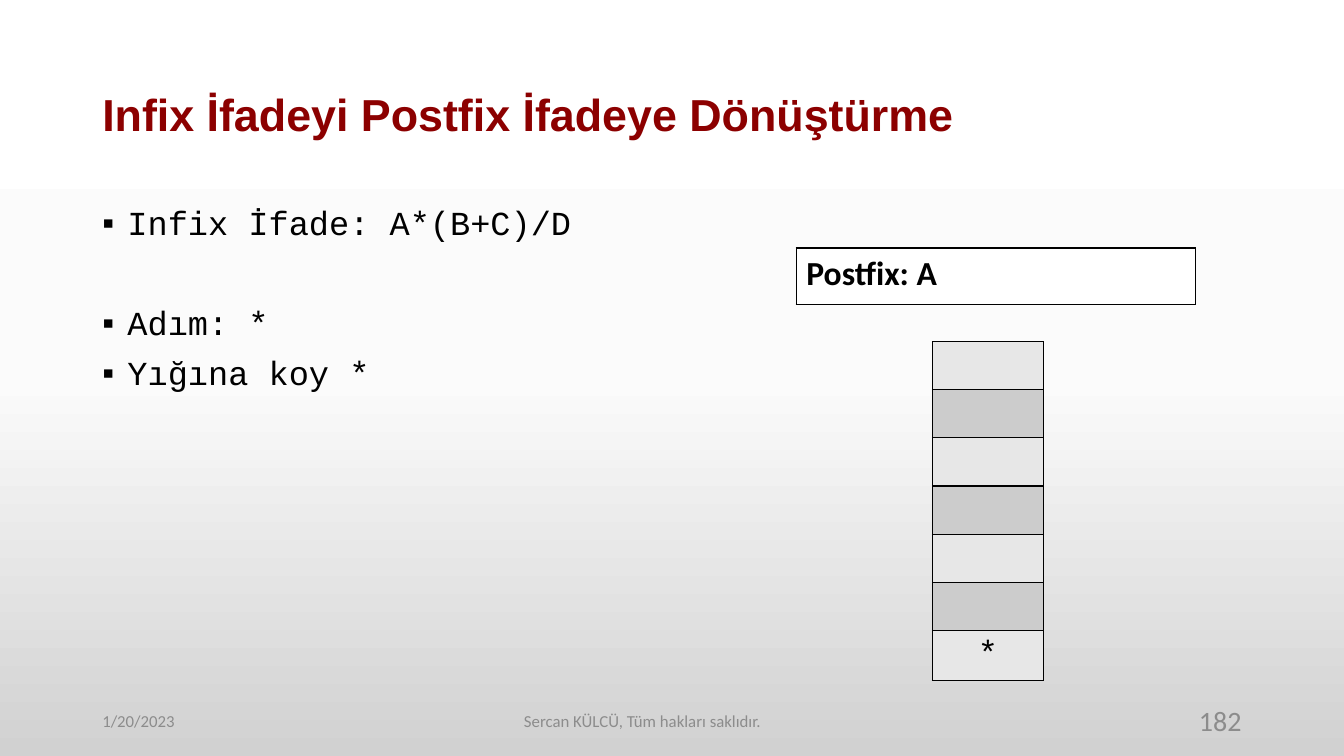
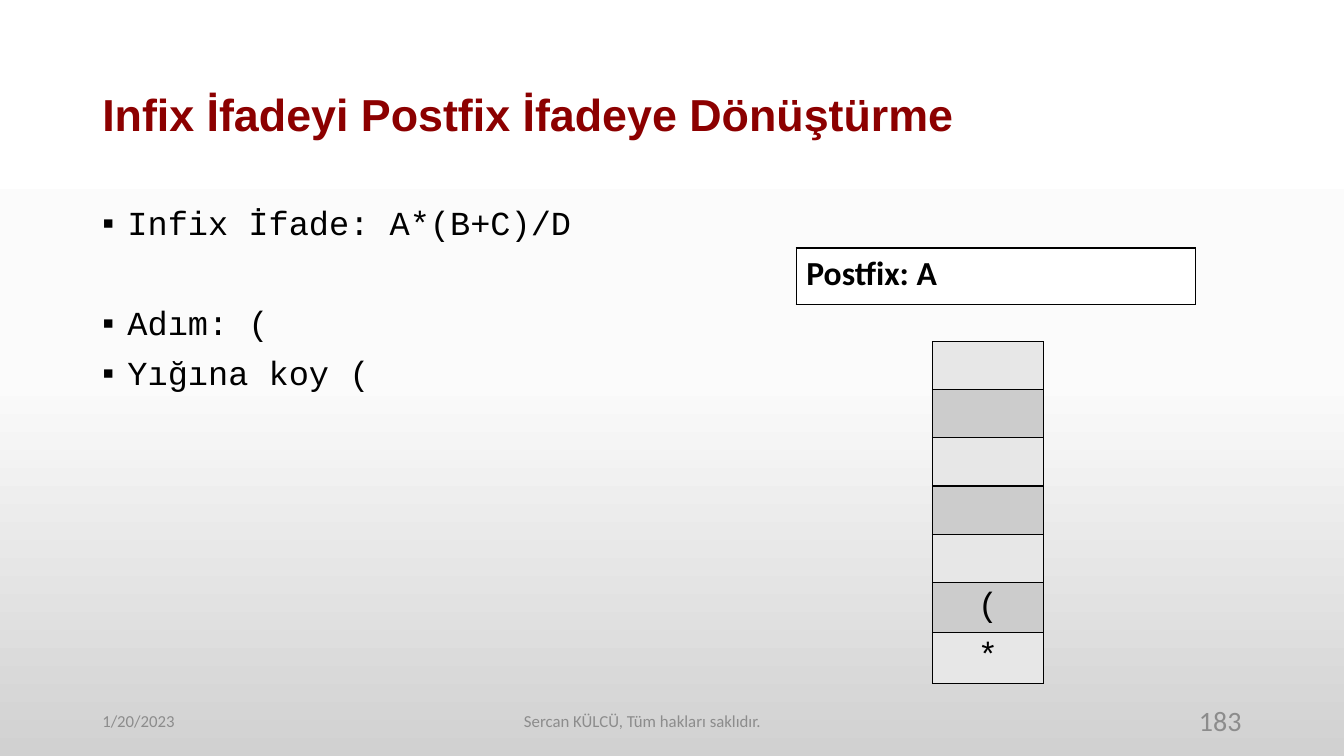
from copy import deepcopy

from pptx import Presentation
from pptx.dml.color import RGBColor as RGB
from pptx.enum.text import MSO_ANCHOR as ANCHOR, PP_ALIGN as ALIGN
from pptx.oxml import parse_xml
from pptx.oxml.ns import nsdecls, qn
from pptx.util import Pt

COLORS = {
    "title": "8C0000", "text": "000000", "footer": "8C8C8C", "border": "000000",
    "white": "FFFFFF", "light": "E7E7E7", "dark": "CCCCCC",
}
BACKGROUND = [(0, "FFFFFF"), (0.5, "FBFBFB"), (1, "D1D1D1")]
MARGIN, CONTENT_W = 66, 828
FOOTER_Y, FOOTER_H = 500.4, 28.8
STACK_ROWS, ROW_H = 7, 34.4

# Page number, current symbol, stack from the bottom up
STEPS = [
    (182, "*", ["*"]),
    (183, "(", ["*", "("]),
]


def style(p, font, size, color, bold=False, align=ALIGN.LEFT):
    p.alignment = align
    p.font.name, p.font.size, p.font.bold = font, Pt(size), bold
    p.font.color.rgb = RGB.from_string(COLORS[color])


def fill_cell(cell, color):
    tc_pr = cell._tc.get_or_add_tcPr()
    for side in ("lnL", "lnR", "lnT", "lnB"):
        tc_pr.append(parse_xml(
            f'<a:{side} {nsdecls("a")} w="12700"><a:solidFill>'
            f'<a:srgbClr val="{COLORS["border"]}"/></a:solidFill></a:{side}>'))
    cell.fill.solid()
    cell.fill.fore_color.rgb = RGB.from_string(COLORS[color])


prs = Presentation()
prs.slide_width, prs.slide_height = Pt(960), Pt(540)

# Shared gradient background
master = prs.slide_master
fill = master.background.fill
fill.gradient()
fill.gradient_angle = 270
gs_list = master.element.find(".//" + qn("a:gsLst"))
gs_list.insert(1, deepcopy(gs_list[0]))
for stop, (position, color) in zip(fill.gradient_stops, BACKGROUND):
    stop.position = position
    stop.color.rgb = RGB.from_string(color)

for number, symbol, stack in STEPS:
    s = prs.slides.add_slide(prs.slide_layouts[6])

    # Title and footer
    lines = [
        (MARGIN, 28.8, CONTENT_W, 104.4, "Infix İfadeyi Postfix İfadeye Dönüştürme",
         ("Arial", 32, "title", True)),
        (MARGIN, FOOTER_Y, 216, FOOTER_H, "1/20/2023", ("Calibri", 12, "footer")),
        (186, FOOTER_Y, 546, FOOTER_H, "Sercan KÜLCÜ, Tüm hakları saklıdır.",
         ("Calibri", 12, "footer", False, ALIGN.CENTER)),
        (678, FOOTER_Y, 216, FOOTER_H, str(number),
         ("Calibri", 20, "footer", False, ALIGN.RIGHT)),
    ]
    for x, y, w, h, text, look in lines:
        tf = s.shapes.add_textbox(Pt(x), Pt(y), Pt(w), Pt(h)).text_frame
        tf.word_wrap = True
        tf.vertical_anchor = ANCHOR.MIDDLE
        p = tf.paragraphs[0]
        p.text = text
        style(p, *look)

    # Bullets, with a wide gap after the expression
    tf = s.shapes.add_textbox(Pt(MARGIN), Pt(144), Pt(CONTENT_W), Pt(350)).text_frame
    tf.word_wrap = True
    bullets = [("Infix İfade: A*(B+C)/D", 0), (f"Adım: {symbol}", 45.5),
               (f"Yığına koy {symbol}", 10)]
    for i, (text, gap) in enumerate(bullets):
        p = tf.add_paragraph() if i else tf.paragraphs[0]
        p.text = text
        p.line_spacing = 0.9
        p.space_before = Pt(gap)
        p_pr = p._p.get_or_add_pPr()
        p_pr.set("marL", str(Pt(18)))
        p_pr.set("indent", str(Pt(-18)))
        p_pr.append(parse_xml(f'<a:buFont {nsdecls("a")} typeface="Arial"/>'))
        p_pr.append(parse_xml(f'<a:buChar {nsdecls("a")} char="▪"/>'))
        style(p, "Courier New", 24, "text")

    # Stack and postfix tables
    stack_cells = [""] * (STACK_ROWS - len(stack)) + stack[::-1]
    tables = [
        (666, 244, 79.2, ROW_H, stack_cells, ["light", "dark"], ANCHOR.MIDDLE,
         ("Courier New", 24, "text", False, ALIGN.CENTER)),
        (568.8, 177.2, 285.2, 40.3, ["Postfix: A"], ["white"], ANCHOR.TOP,
         ("Calibri", 24, "text", True)),
    ]
    for x, y, w, row_h, texts, fills, anchor, look in tables:
        table = s.shapes.add_table(len(texts), 1, Pt(x), Pt(y), Pt(w),
                                   Pt(row_h * len(texts))).table
        table.first_row = table.horz_banding = False
        for i, text in enumerate(texts):
            table.rows[i].height = Pt(row_h)
            cell = table.cell(i, 0)
            fill_cell(cell, fills[i % len(fills)])
            cell.vertical_anchor = anchor
            if text:
                cell.text = text
                style(cell.text_frame.paragraphs[0], *look)

prs.save("out.pptx")
